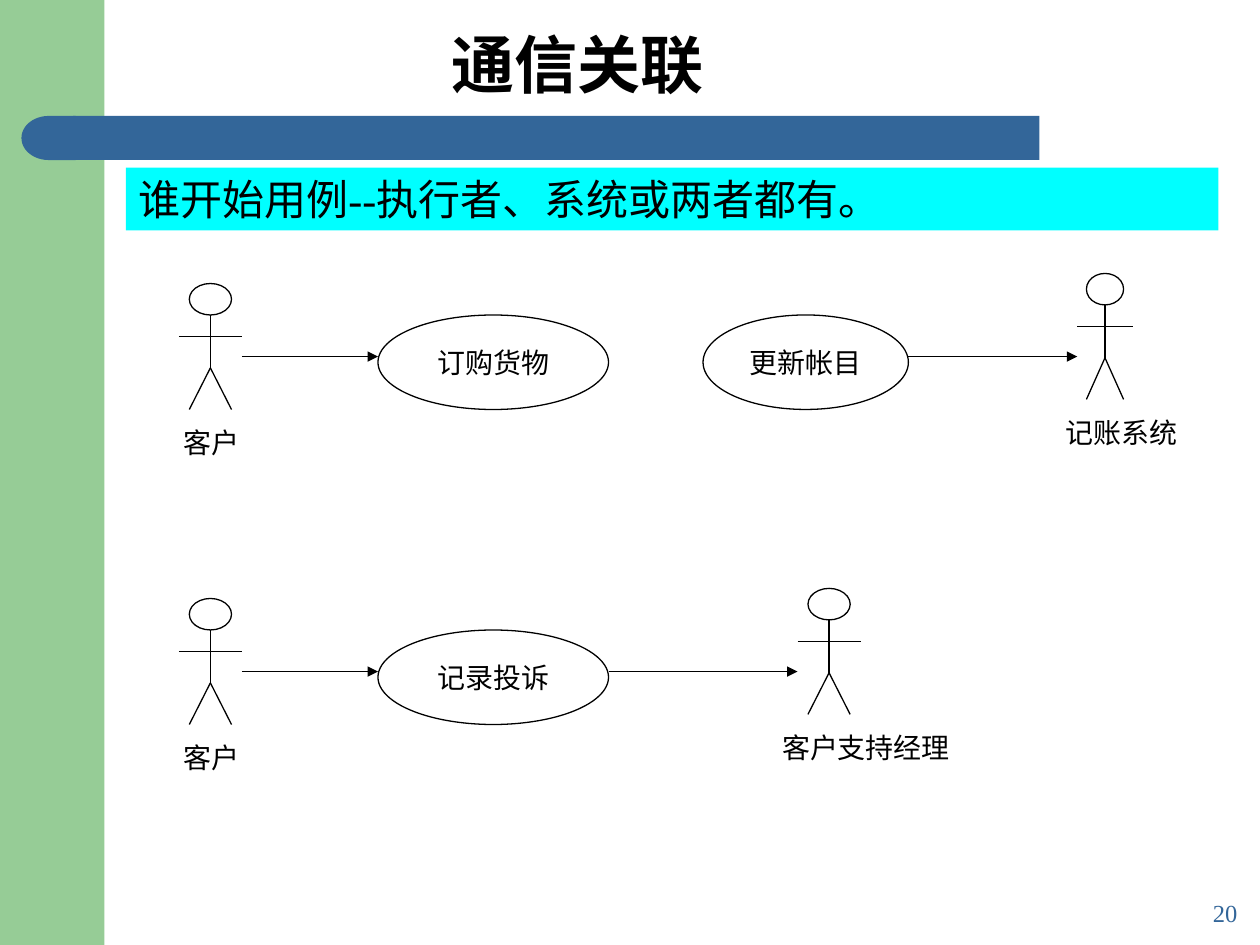
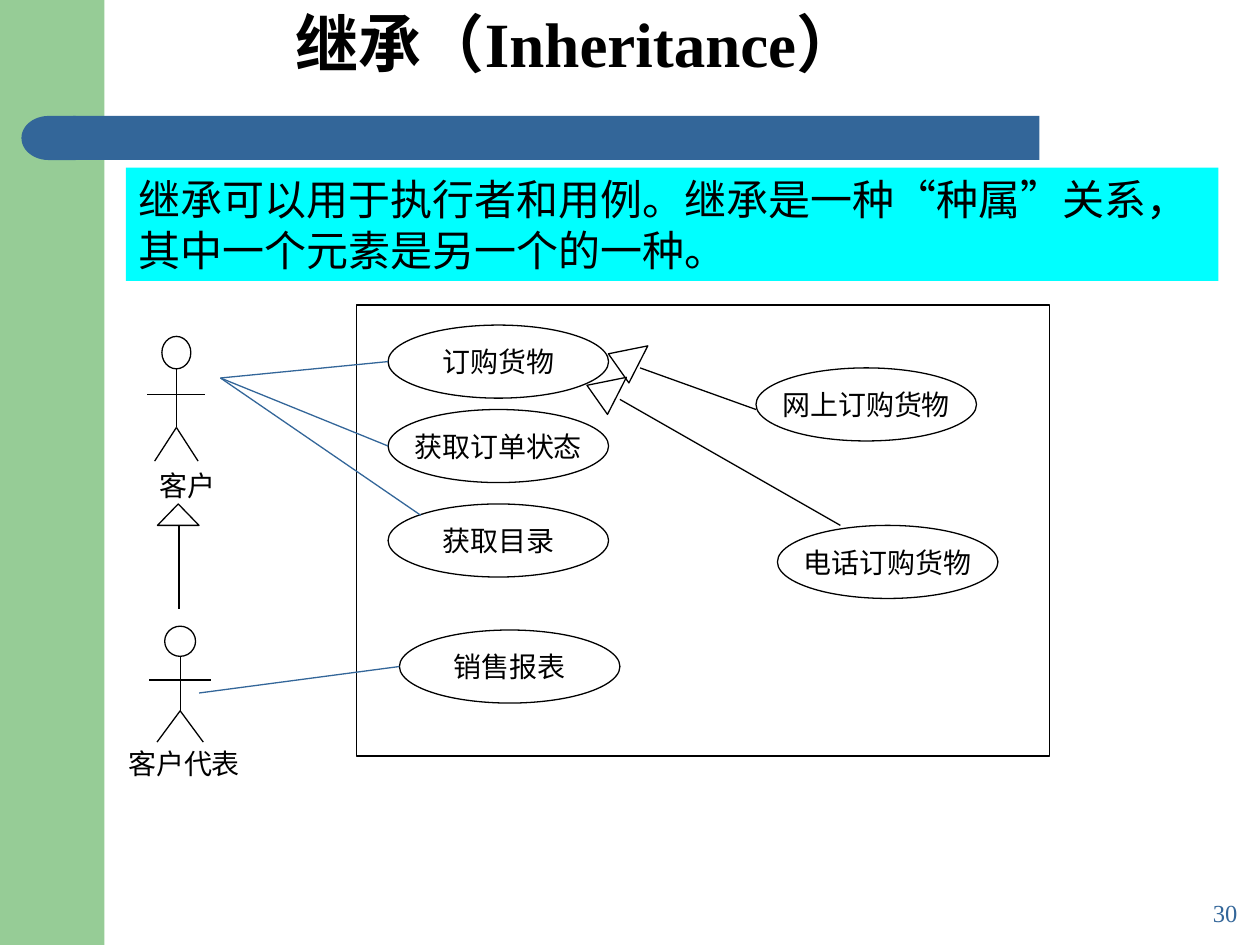
"""Build two slides on use-case links and inheritance."""
from pptx import Presentation
from pptx.dml.color import RGBColor
from pptx.enum.shapes import MSO_CONNECTOR as Link, MSO_SHAPE as Shape
from pptx.enum.text import MSO_ANCHOR as Anchor, MSO_AUTO_SIZE as Fit, PP_ALIGN as Align
from pptx.oxml.ns import qn
from pptx.util import Inches, Pt
from lxml import etree

HUES = {"green": "96CC96", "blue": "336699", "cyan": "00FFFF", "black": "000000"}
FONT = "Times New Roman"
SLIM = dict(head=0.5, legs=0.75, build=(0.26, 0.465, 0.73))


def hue(name):
    """Return the named colour."""
    return RGBColor.from_string(HUES[name])


def write(frame, text, size=16, color="black", bold=False, align=Align.LEFT,
          anchor=Anchor.TOP, wrap=True, fit=Fit.NONE):
    """Fill a text frame with one styled paragraph."""
    frame.word_wrap = wrap
    frame.auto_size = fit
    frame.vertical_anchor = anchor
    frame.margin_left = frame.margin_right = Inches(0.1)
    frame.margin_top = frame.margin_bottom = Inches(0.05)
    para = frame.paragraphs[0]
    para.alignment = align
    run = para.add_run()
    run.text = text
    run.font.name = FONT
    run.font.size = Pt(size)
    run.font.bold = bold
    run.font.color.rgb = hue(color)


class Deck:
    """Hold the style and the current slide."""

    def __init__(self):
        """Start an empty deck."""
        self.deck = Presentation()
        self.deck.slide_width = Inches(10)
        self.deck.slide_height = Inches(7.5)

    def start(self, title, top, page):
        """Add a slide with its bands, title and page number."""
        layout = self.deck.slide_layouts.get_by_name("Title Only")
        self.slide = self.deck.slides.add_slide(layout)
        self.shape(Shape.RECTANGLE, 0, 0, 0.83, 7.5, fill="green")
        self.shape(Shape.RECTANGLE, 0.58, 0.92, 7.67, 0.35, fill="blue")
        self.shape(Shape.FLOWCHART_DELAY, 0.17, 0.92, 0.43, 0.35, fill="blue", turn=180)
        head = self.slide.shapes.title
        head.left, head.top, head.width, head.height = map(Inches, (0.92, top, 7.33, 0.67))
        write(head.text_frame, title, size=36, bold=True, align=Align.CENTER, anchor=Anchor.MIDDLE)
        self.label(page, 8.25, 7.08, 1.67, 0.42, size=14, color="blue", align=Align.RIGHT)

    def shape(self, kind, left, top, width, height, fill=None, turn=0):
        """Add a filled shape, or a black outline when no fill is given."""
        shape = self.slide.shapes.add_shape(kind, *map(Inches, (left, top, width, height)))
        shape.shadow.inherit = False
        shape.rotation = turn
        if fill:
            shape.fill.solid()
            shape.fill.fore_color.rgb = hue(fill)
            shape.line.fill.background()
        else:
            shape.fill.background()
            shape.line.color.rgb = hue("black")
            shape.line.width = Pt(0.75)
        return shape

    def label(self, text, left, top, width, height=0.37, **style):
        """Add a plain text box."""
        box = self.slide.shapes.add_textbox(*map(Inches, (left, top, width, height)))
        write(box.text_frame, text, **style)

    def banner(self, text, height):
        """Add the cyan statement below the title."""
        box = self.shape(Shape.RECTANGLE, 1, 1.33, 8.67, height, fill="cyan")
        write(box.text_frame, text, size=24, fit=Fit.SHAPE_TO_FIT_TEXT)

    def case(self, text, left, top, width=1.75, height=0.58):
        """Add a use case as an oval with centred text."""
        oval = self.shape(Shape.OVAL, left, top, width, height)
        write(oval.text_frame, text, align=Align.CENTER, anchor=Anchor.MIDDLE, wrap=False)

    def line(self, x1, y1, x2, y2, color="black", arrow=False):
        """Add a straight line, with an arrowhead at its end if asked."""
        line = self.slide.shapes.add_connector(Link.STRAIGHT, *map(Inches, (x1, y1, x2, y2)))
        line.line.color.rgb = hue(color)
        line.line.width = Pt(0.75)
        if arrow:
            etree.SubElement(line.line._get_or_add_ln(), qn("a:tailEnd"), type="triangle")
        etree.SubElement(line._element.spPr, qn("a:effectLst"))

    def actor(self, mid, top, width=0.5, height=1, head=0.67, legs=0.67,
              build=(0.25, 0.42, 0.67)):
        """Draw a stick figure; build gives neck, arms and hip as parts of its height."""
        neck, arms, hip = (top + part * height for part in build)
        wide = head * width
        self.shape(Shape.OVAL, mid - wide / 2, top, wide, neck - top)
        self.line(mid, neck, mid, hip)
        self.line(mid - width / 2, arms, mid + width / 2, arms)
        for side in (-1, 1):
            self.line(mid, hip, mid + side * legs * width / 2, top + height)

    def prong(self, left, top, width=0.33, height=0.25, turn=297, tip=0.4):
        """Add the hollow triangle that marks a parent."""
        self.shape(Shape.ISOSCELES_TRIANGLE, left, top, width, height, turn=turn).adjustments[0] = tip


def draw_links(deck):
    """Draw the slide on who starts a use case."""
    deck.start("通信关联", 0.17, "20")
    deck.banner("谁开始用例--执行者、系统或两者都有。", 0.5)
    for top, text in ((2.25, "订购货物"), (4.75, "记录投诉")):
        deck.actor(1.67, top)
        deck.label("客户", 1.36, top + 1.08, 0.8)
        deck.case(text, 3, top + 0.25, 1.83, 0.75)
        deck.line(1.92, top + 0.58, 3, top + 0.58, arrow=True)
    deck.line(4.83, 5.33, 6.33, 5.33, arrow=True)
    deck.actor(6.58, 4.67)
    deck.label("客户支持经理", 6.11, 5.75, 1.9)
    deck.case("更新帐目", 5.58, 2.5, 1.63, 0.75)
    deck.line(7.21, 2.83, 8.55, 2.83, arrow=True)
    deck.actor(8.77, 2.17, width=0.44)
    deck.label("记账系统", 8.36, 3.25, 1.22)


def draw_kinds(deck):
    """Draw the slide on inheritance."""
    deck.start("继承（Inheritance）", 0, "30")
    deck.banner("继承可以用于执行者和用例。继承是一种“种属”关系，其中一个元素是另一个的一种。", 0.9)
    deck.shape(Shape.RECTANGLE, 2.83, 2.42, 5.5, 3.58)
    for text, left, top in (("订购货物", 3.08, 2.58), ("获取订单状态", 3.08, 3.25),
                            ("获取目录", 3.08, 4), ("销售报表", 3.17, 5),
                            ("网上订购货物", 6, 2.92), ("电话订购货物", 6.17, 4.17)):
        deck.case(text, left, top)
    deck.actor(1.4, 2.67, 0.46, 0.99, **SLIM)
    deck.label("客户", 1.17, 3.67, 0.69)
    deck.actor(1.43, 4.97, 0.49, 0.92, **SLIM)
    deck.label("客户代表", 0.92, 5.88, 1.17)
    for x, y in ((3.08, 2.87), (3.08, 3.54), (3.34, 4.09)):
        deck.line(1.75, 3, x, y, color="blue")
    deck.line(1.58, 5.5, 3.17, 5.29, color="blue")
    deck.prong(1.25, 4, height=0.17, turn=0, tip=0.5)
    deck.line(1.42, 4.17, 1.42, 4.83)
    deck.prong(4.79, 2.71)
    deck.line(5.08, 2.92, 6, 3.25)
    deck.prong(4.62, 2.96)
    deck.line(4.92, 3.17, 6.67, 4.17)


def main():
    """Build and save the deck."""
    deck = Deck()
    draw_links(deck)
    draw_kinds(deck)
    deck.deck.save("out.pptx")


if __name__ == "__main__":
    main()
